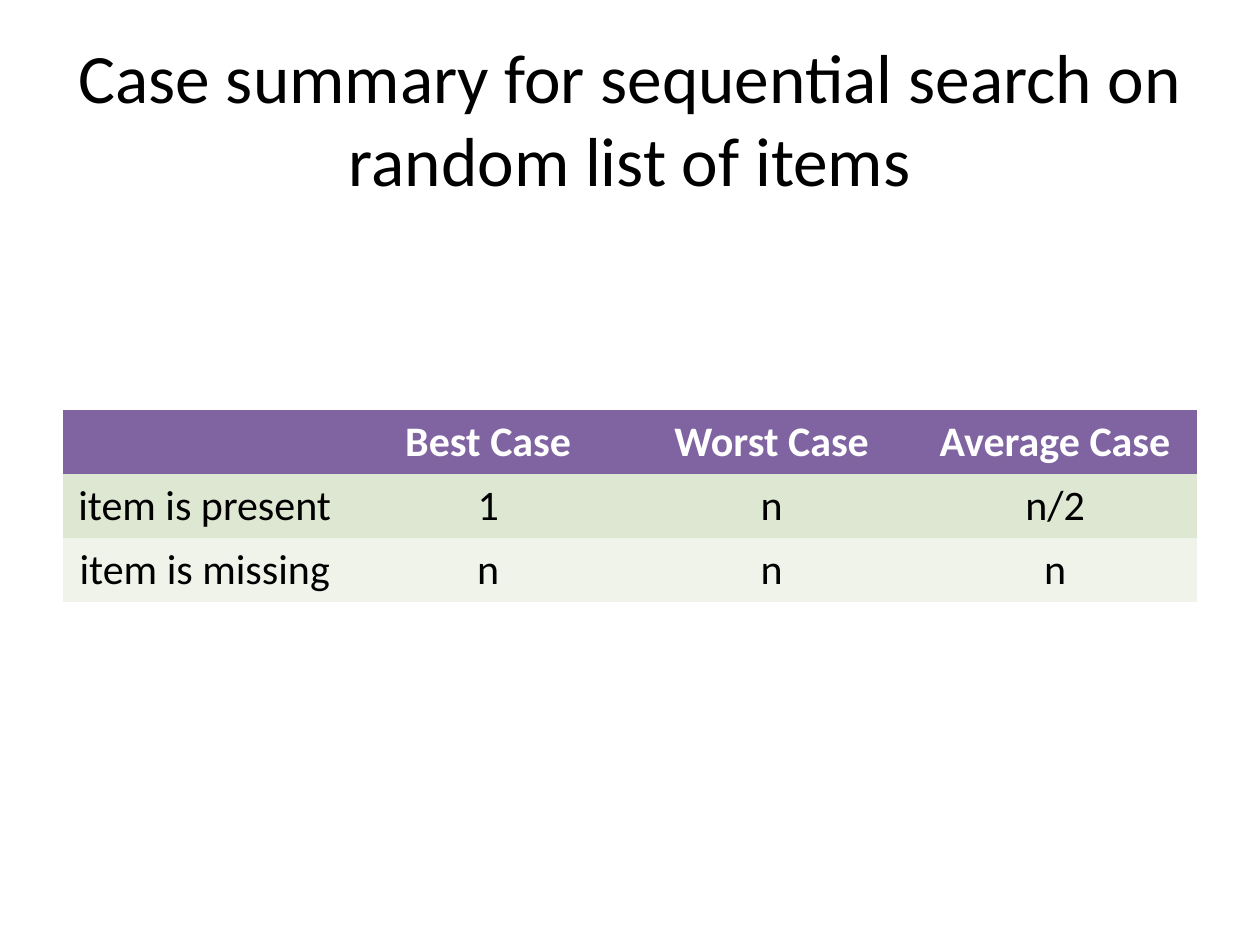
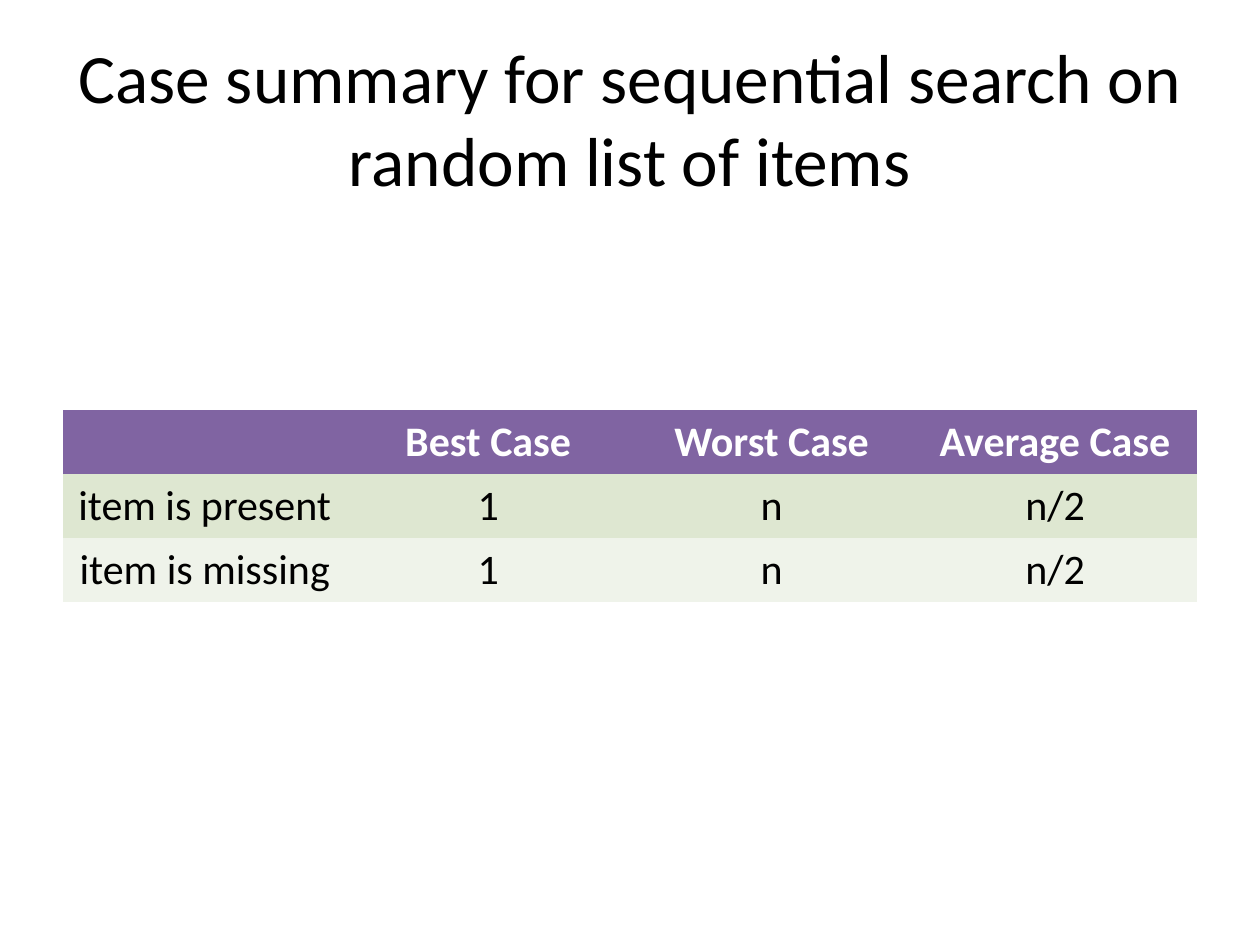
from pptx import Presentation
from pptx.dml.color import RGBColor
from pptx.enum.text import MSO_ANCHOR, PP_ALIGN
from pptx.util import Pt

CENTER = PP_ALIGN.CENTER
MIDDLE = MSO_ANCHOR.MIDDLE

PX = 914400 // 126
SLIDE_W, SLIDE_H = 1260, 945
MARGIN = 63
CONTENT_W = SLIDE_W - 2 * MARGIN
TITLE_BOX = (MARGIN, 38, CONTENT_W, 158)
TABLE_BOX = (MARGIN, 410, CONTENT_W, 192)

FONT = "Calibri"
COLORS = {
    "text": "000000",
    "header_text": "FFFFFF",
    "header": "8064A2",
    "band_dark": "DEE7D1",
    "band_light": "EFF3EA",
}
PLAIN_TABLE_STYLE = "{2D5ABB26-0587-4C30-8999-92F81FD0307C}"

TITLE = "Case summary for sequential search on random list of items"
HEADER = ["", "Best Case", "Worst Case", "Average Case"]
PRESENT = ["item is present", "1", "n", "n/2"]
SUMMARIES = [
    [HEADER, PRESENT, ["item is missing", "n", "n", "n"]],
    [HEADER, PRESENT, ["item is missing", "1", "n", "n/2"]],
]


def rgb(name):
    """Return the named colour."""
    return RGBColor.from_string(COLORS[name])


def emu(box):
    """Turn a box in pixels into EMU lengths."""
    return [length * PX for length in box]


def write(frame, text, size=24, color="text", bold=False, align=CENTER):
    """Write one formatted paragraph into a text frame."""
    paragraph = frame.paragraphs[0]
    paragraph.alignment = align
    paragraph.font.size = Pt(size)
    if text:
        run = paragraph.add_run()
        run.text = text
        run.font.name = FONT
        run.font.size = Pt(size)
        run.font.bold = bold
        run.font.color.rgb = rgb(color)


def add_title(slide, box, text):
    """Place the centred slide title in the box."""
    frame = slide.shapes.add_textbox(*emu(box)).text_frame
    frame.word_wrap = True
    frame.vertical_anchor = MIDDLE
    write(frame, text, size=39.6)


def add_case_table(slide, box, rows):
    """Fill the box with an even grid: a header row, then banded rows."""
    holder = slide.shapes.add_table(len(rows), len(rows[0]), *emu(box))
    for style in holder.element.xpath(".//a:tableStyleId"):
        style.text = PLAIN_TABLE_STYLE
    table = holder.table
    for column in table.columns:
        column.width = box[2] * PX // len(rows[0])
    for row_no, values in enumerate(rows):
        is_header = row_no == 0
        band = "band_dark" if row_no % 2 else "band_light"
        table.rows[row_no].height = box[3] * PX // len(rows)
        for column_no, value in enumerate(values):
            cell = table.cell(row_no, column_no)
            cell.fill.solid()
            cell.fill.fore_color.rgb = rgb("header" if is_header else band)
            write(cell.text_frame, value, bold=is_header,
                  color="header_text" if is_header else "text")


def add_summary_slide(deck, rows):
    """Add a slide with the shared title and one case table."""
    slide = deck.slides.add_slide(deck.slide_layouts[6])
    add_title(slide, TITLE_BOX, TITLE)
    add_case_table(slide, TABLE_BOX, rows)


deck = Presentation()
deck.slide_width, deck.slide_height = emu((SLIDE_W, SLIDE_H))
for summary in SUMMARIES:
    add_summary_slide(deck, summary)
deck.save("out.pptx")
